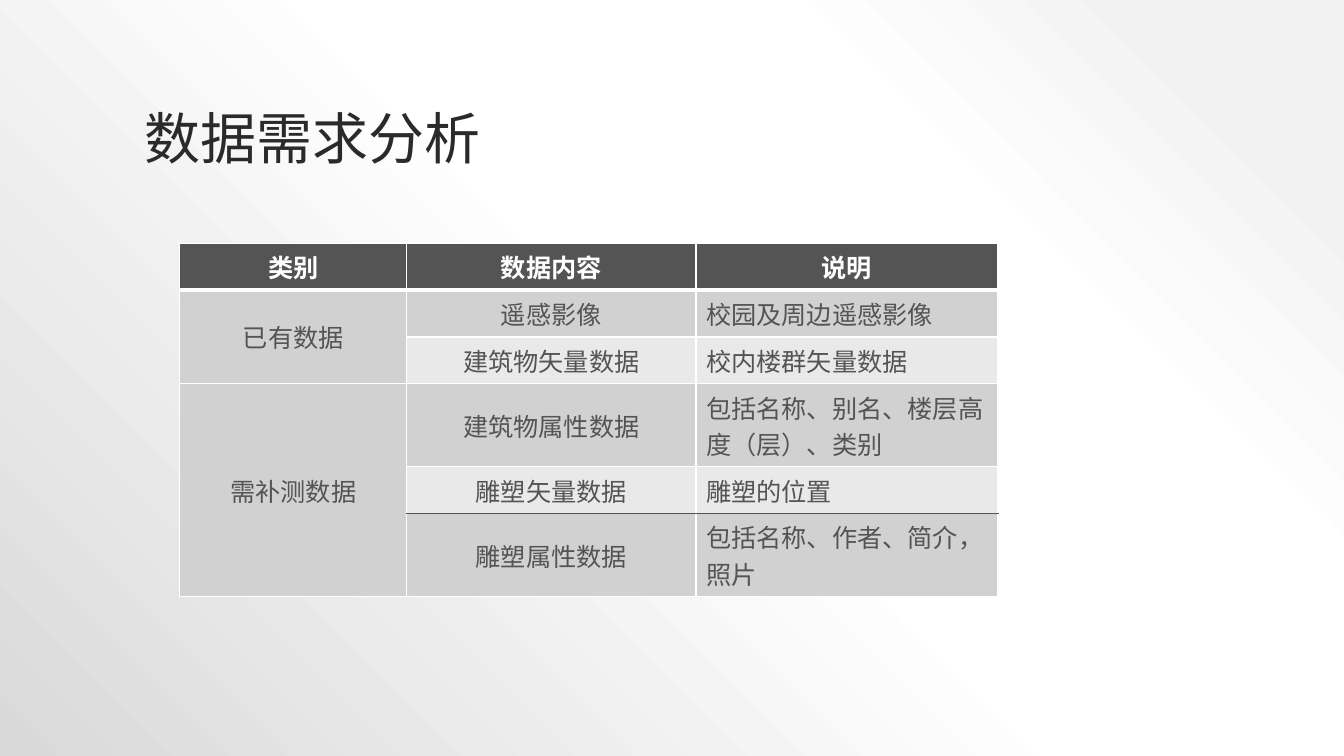
from dataclasses import dataclass

from lxml.etree import SubElement
from pptx import Presentation
from pptx.dml.color import RGBColor
from pptx.enum.text import MSO_ANCHOR, PP_ALIGN
from pptx.oxml.ns import qn
from pptx.util import Cm, Pt


@dataclass(frozen=True)
class Theme:
    title_color: str = "2A2A2A"
    dark: str = "545454"
    light: str = "FFFFFF"
    bands: tuple = ("D1D1D1", "E9E9E9")
    backdrop: tuple = ((10, "F2F2F2"), (28, "FFFFFF"), (48, "FFFFFF"), (100, "D9D9D9"))
    title_font: str = "Noto Sans CJK SC"
    table_font: str = "TeX Gyre Adventor"
    chinese_font: str = "Noto Sans CJK SC"
    title_size: int = 40
    table_size: int = 18


THEME = Theme()

HEADINGS = ("类别", "数据内容", "说明")
CATEGORIES = (
    ("已有数据", (
        ("遥感影像", "校园及周边遥感影像"),
        ("建筑物矢量数据", "校内楼群矢量数据"),
    )),
    ("需补测数据", (
        ("建筑物属性数据", "包括名称、别名、楼层高度（层）、类别"),
        ("雕塑矢量数据", "雕塑的位置"),
        ("雕塑属性数据", "包括名称、作者、简介，照片"),
    )),
)
COLUMN_WIDTHS = (5.72, 7.29, 7.61)
ONE_LINE, TWO_LINES = 1.18, 2.09
ROW_HEIGHTS = (ONE_LINE, ONE_LINE, ONE_LINE, TWO_LINES, ONE_LINE, TWO_LINES)
RULED_ROW = 4  # the row with a dark line below it


def add_color(parent, color):
    SubElement(parent, qn("a:srgbClr"), val=color)


def paint_background(slide):
    """Radial gradient that spreads from the top right corner."""
    fill = slide.background.fill
    fill.gradient()
    gradient = slide.background._cSld.find(".//" + qn("a:gradFill"))
    for child in list(gradient):
        gradient.remove(child)
    stops = SubElement(gradient, qn("a:gsLst"))
    for percent, color in THEME.backdrop:
        add_color(SubElement(stops, qn("a:gs"), pos=str(percent * 1000)), color)
    circle = SubElement(gradient, qn("a:path"), path="circle")
    SubElement(circle, qn("a:fillToRect"), l="100000", b="100000")


def write_run(paragraph, text, font_name, size, color, bold=False):
    run = paragraph.add_run()
    run.text = text
    run.font.name = font_name
    run.font.size = Pt(size)
    run.font.bold = bold
    run.font.color.rgb = RGBColor.from_string(color)
    SubElement(run.font._element, qn("a:ea"), typeface=THEME.chinese_font)


def add_title(slide, text):
    frame = slide.shapes.add_textbox(Cm(3.39), Cm(0.76), Cm(27.1), Cm(3.68)).text_frame
    frame.word_wrap = True
    frame.vertical_anchor = MSO_ANCHOR.BOTTOM
    paragraph = frame.paragraphs[0]
    paragraph.line_spacing = 0.9
    write_run(paragraph, text, THEME.title_font, THEME.title_size, THEME.title_color)


def set_borders(cell, row):
    """White edges, a thick one below the headings, a dark one below RULED_ROW."""
    edges = {
        "a:lnL": (THEME.light, 1),
        "a:lnR": (THEME.light, 1),
        "a:lnT": (THEME.dark if row == RULED_ROW + 1 else THEME.light, 3 if row == 1 else 1),
        "a:lnB": (THEME.dark if row == RULED_ROW else THEME.light, 3 if row == 0 else 1),
    }
    properties = cell._tc.get_or_add_tcPr()
    for tag, (color, width) in edges.items():
        line = SubElement(properties, qn(tag), w=str(Pt(width)))
        add_color(SubElement(line, qn("a:solidFill")), color)


def style_cell(cell, row, column):
    set_borders(cell, row)
    band = THEME.bands[0] if column == 0 else THEME.bands[(row - 1) % 2]
    cell.fill.solid()
    cell.fill.fore_color.rgb = RGBColor.from_string(THEME.dark if row == 0 else band)
    cell.vertical_anchor = MSO_ANCHOR.MIDDLE


def write_cell(cell, text, align=PP_ALIGN.CENTER, heading=False):
    paragraph = cell.text_frame.paragraphs[0]
    paragraph.alignment = align
    color = THEME.light if heading else THEME.dark
    write_run(paragraph, text, THEME.table_font, THEME.table_size, color, heading)


def add_data_table(slide):
    table = slide.shapes.add_table(
        len(ROW_HEIGHTS), len(COLUMN_WIDTHS), Cm(4.53), Cm(6.13),
        Cm(sum(COLUMN_WIDTHS)), Cm(sum(ROW_HEIGHTS))).table
    table.first_row = table.horz_banding = False
    for column, width in zip(table.columns, COLUMN_WIDTHS):
        column.width = Cm(width)
    for row, height in enumerate(ROW_HEIGHTS):
        table.rows[row].height = Cm(height)
        for column in range(len(COLUMN_WIDTHS)):
            style_cell(table.cell(row, column), row, column)

    # Heading row
    for column, heading in enumerate(HEADINGS):
        write_cell(table.cell(0, column), heading, heading=True)

    # One merged category cell beside each group of data
    row = 1
    for category, entries in CATEGORIES:
        table.cell(row, 0).merge(table.cell(row + len(entries) - 1, 0))
        write_cell(table.cell(row, 0), category)
        for content, description in entries:
            write_cell(table.cell(row, 1), content)
            write_cell(table.cell(row, 2), description, PP_ALIGN.LEFT)
            row += 1


def main():
    presentation = Presentation()
    presentation.slide_width, presentation.slide_height = Cm(33.87), Cm(19.05)
    slide = presentation.slides.add_slide(presentation.slide_layouts[6])
    paint_background(slide)
    add_title(slide, "数据需求分析")
    add_data_table(slide)
    presentation.save("out.pptx")


if __name__ == "__main__":
    main()
